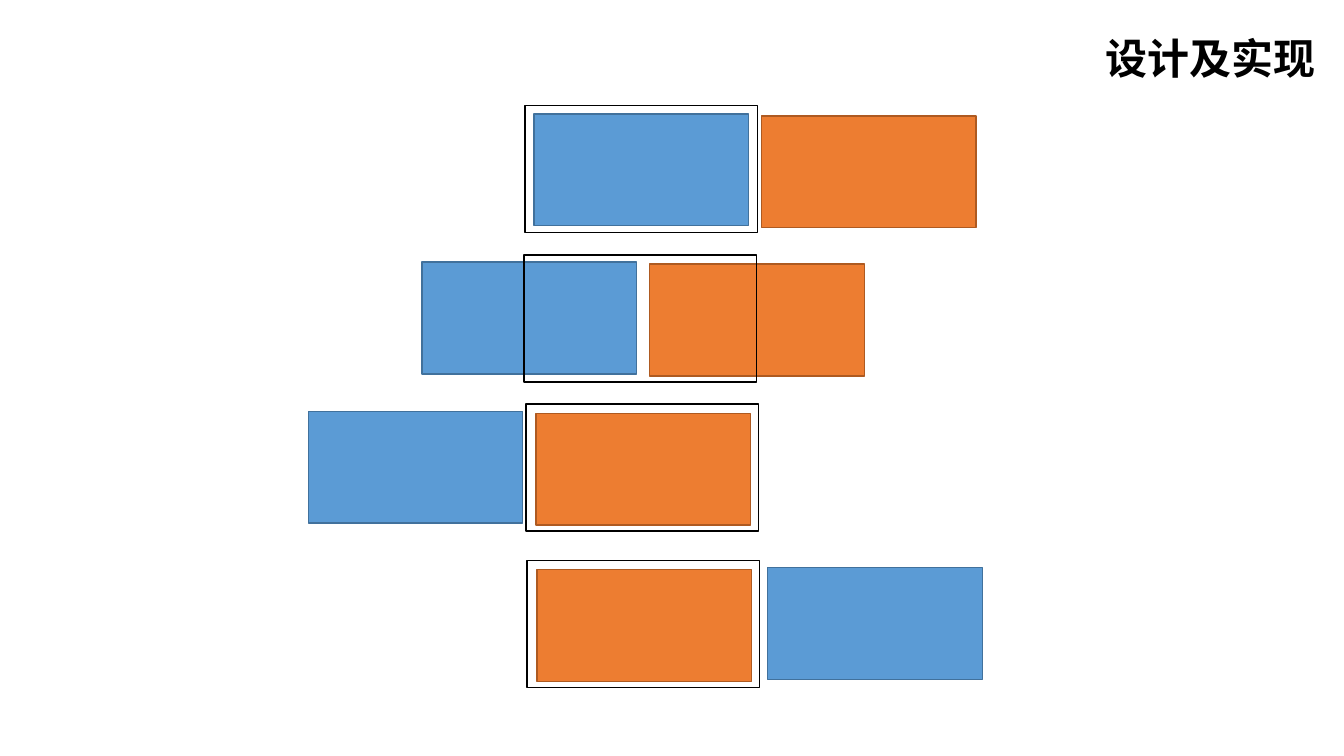
"""Build a slide showing a viewport frame over sliding blue and orange panels."""
from pptx import Presentation
from pptx.dml.color import RGBColor
from pptx.enum.shapes import MSO_SHAPE
from pptx.enum.text import MSO_ANCHOR, MSO_AUTO_SIZE, PP_ALIGN
from pptx.util import Inches, Pt

RECTANGLE = MSO_SHAPE.RECTANGLE
RIGHT = PP_ALIGN.RIGHT
MIDDLE = MSO_ANCHOR.MIDDLE
NO_AUTOFIT = MSO_AUTO_SIZE.NONE

PANEL_SIZE = (2.13, 1.11)
FRAME_SIZE = (2.31, 1.26)
ORANGE = ("ED7D31", "AE5A21")
BLUE = ("5B9BD5", "41719C")
FRAME = (None, "000000")


def color(value):
    return RGBColor.from_string(value)


def add_rectangle(slide, position, size, colors):
    fill, line = colors
    shape = slide.shapes.add_shape(RECTANGLE, *map(Inches, position + size))
    shape.shadow.inherit = False
    if fill:
        shape.fill.solid()
        shape.fill.fore_color.rgb = color(fill)
    else:
        shape.fill.background()
    shape.line.color.rgb = color(line)
    shape.line.width = Pt(1)


presentation = Presentation()
presentation.slide_width = Inches(13.34)
presentation.slide_height = Inches(7.5)
slide = presentation.slides.add_slide(presentation.slide_layouts[5])

title = slide.shapes.title
title.left, title.top = Inches(7.6), Inches(0.27)
title.width, title.height = Inches(5.56), Inches(0.6)
title_frame = title.text_frame
title_frame.text = "设计及实现"
title_frame.word_wrap = True
title_frame.auto_size = NO_AUTOFIT
title_frame.vertical_anchor = MIDDLE
paragraph = title_frame.paragraphs[0]
paragraph.alignment = RIGHT
font = paragraph.runs[0].font
font.name = "Arial"
font.size = Pt(30)
font.bold = True
font.color.rgb = color("000000")

scroll_steps = [
    {"orange": (7.56, 1.15), "blue": (5.3, 1.13), "frame": (5.21, 1.05)},
    {"orange": (6.45, 2.62), "blue": (4.19, 2.6), "frame": (5.2, 2.53)},
    {"orange": (5.32, 4.1), "blue": (3.06, 4.08), "frame": (5.22, 4.01)},
    {"orange": (5.33, 5.65), "blue": (7.62, 5.63), "frame": (5.23, 5.56)},
]
for step in scroll_steps:
    add_rectangle(slide, step["orange"], PANEL_SIZE, ORANGE)
    add_rectangle(slide, step["blue"], PANEL_SIZE, BLUE)
    add_rectangle(slide, step["frame"], FRAME_SIZE, FRAME)

presentation.save("out.pptx")
